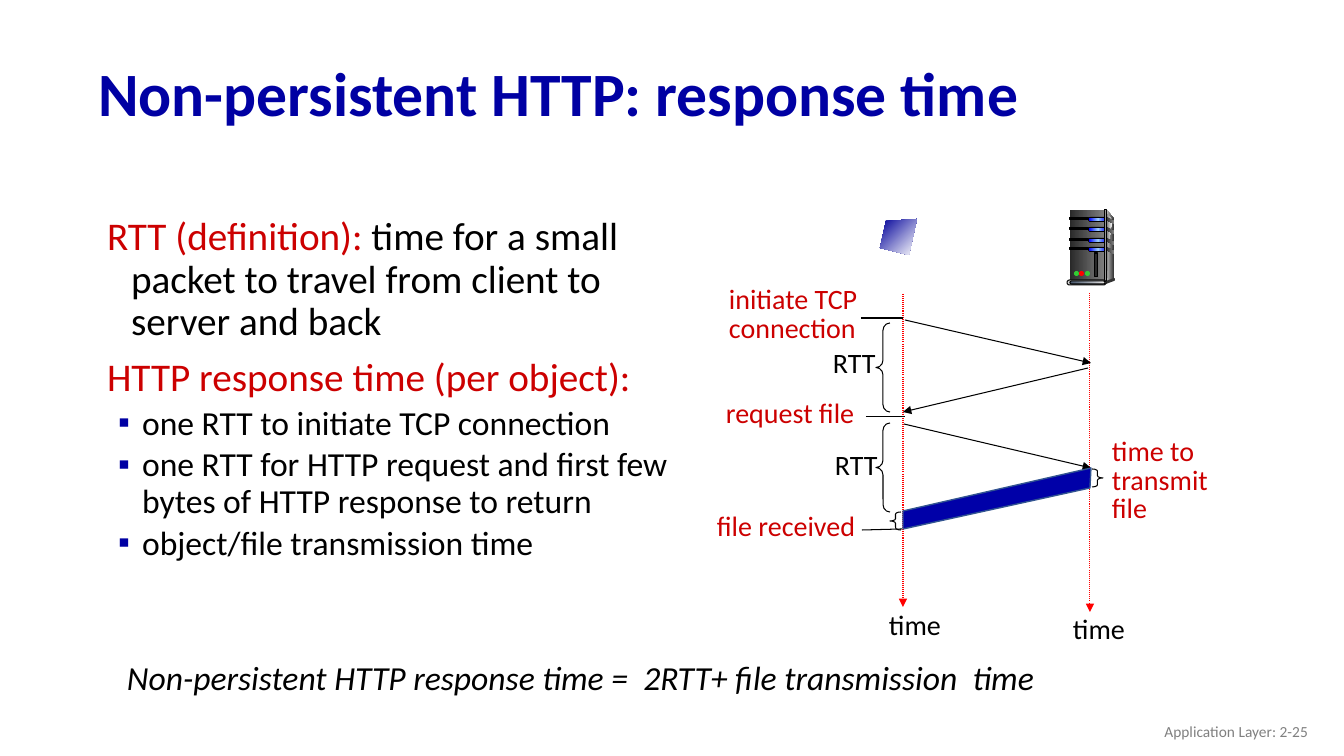
from copy import deepcopy

from lxml.etree import SubElement
from pptx import Presentation
from pptx.dml.color import RGBColor
from pptx.enum.dml import MSO_LINE
from pptx.enum.shapes import MSO_CONNECTOR, MSO_SHAPE
from pptx.enum.text import MSO_ANCHOR, MSO_AUTO_SIZE, PP_ALIGN
from pptx.oxml.ns import qn
from pptx.util import Pt

EMU_PER_PX = 914400 / 100.8
FONT = "Calibri"
COLORS = {
    "navy": "0000A3", "band": "0000A8", "band edge": "325491", "red": "CC0000",
    "lifeline": "FF0000", "black": "000000", "gray": "808080", "light": "DDDDDD",
    "dark": "333333", "charcoal": "292929", "blue": "0000FF", "sky": "99CCFF",
    "green": "33CC33", "slate": "44546A", "silver": "E7E6E6", "pale": "F8F8F8",
    "indigo": "000099", "white": "FFFFFF",
}

TITLE = "Non-persistent HTTP: response time"
# level, then (text, color) runs
BODY = [
    (0, [("RTT (definition):", "red"),
         (" time for a small packet to travel from client to server and back", "black")]),
    (0, [("HTTP response time (per object):", "red")]),
    (1, [("one RTT to initiate TCP connection", "black")]),
    (1, [("one RTT for HTTP request and first few bytes of HTTP response to return", "black")]),
    (1, [("object/file transmission time", "black")]),
]
# text, color, line spacing, box
LABELS = [
    ("time to\ntransmit\nfile", "red", 0.85, (1102, 434, 124, 97)),
    ("initiate TCP\nconnection", "red", 0.85, (719, 282, 154, 69)),
    ("RTT", "black", 0.85, (823, 346, 66, 39)),
    ("request file", "red", 0.85, (716, 396, 217, 39)),
    ("RTT", "black", 0.85, (825, 448, 66, 39)),
    ("file received", "red", 0.85, (707, 509, 181, 39)),
    ("time", "black", 0.85, (879, 608, 74, 39)),
    ("time", "black", 1.0, (1063, 607, 74, 44)),
]
FORMULA = "Non-persistent HTTP response time =  2RTT+ file transmission  time"
FOOTER = "Application Layer: 2-25"

LIFELINES = [(903, 294, 903, 607), (1090, 293, 1090, 612)]
MESSAGES = [(905, 320, 1091, 363), (1088, 368, 903, 412), (904, 424, 1091, 468)]
TICKS = [(861, 318, 903, 318), (866, 417, 905, 417), (902, 529, 862, 530)]
# shape, curvature, box
BRACES = [
    (MSO_SHAPE.RIGHT_BRACE, 0.2, (1092, 469, 11, 18)),
    (MSO_SHAPE.LEFT_BRACE, 0.52, (876, 323, 14, 89)),
    (MSO_SHAPE.LEFT_BRACE, 0.52, (876, 423, 14, 89)),
    (MSO_SHAPE.LEFT_BRACE, 0.2, (890, 512, 11, 18)),
]
TRANSMISSION = [(903, 511), (1091, 468), (1090, 488), (903, 529)]
CLIENT = [(917, 219), (886, 221), (880, 248), (909, 255)]
BAY_TOPS = [218, 228, 239, 248]
LIGHTS = [(1074, "green"), (1079, "lifeline"), (1085, "green")]


def px(value):
    return round(value * EMU_PER_PX)


def rgb(name):
    return RGBColor.from_string(COLORS[name])


def paint(shape, fill=(), line=None, width=0.75, angle=0):
    """Fill with no color, one color or an even gradient of several."""
    shape.shadow.inherit = False
    if not fill:
        shape.fill.background()
    elif len(fill) == 1:
        shape.fill.solid()
        shape.fill.fore_color.rgb = rgb(fill[0])
    else:
        shape.fill.gradient()
        shape.fill.gradient_angle = angle
        stop_list = shape._element.spPr.find(".//" + qn("a:gsLst"))
        while len(stop_list) < len(fill):
            stop_list.append(deepcopy(stop_list[0]))
        for index, (stop, name) in enumerate(zip(shape.fill.gradient_stops, fill)):
            stop.color.rgb = rgb(name)
            stop.position = index / (len(fill) - 1)
    if line:
        shape.line.color.rgb = rgb(line)
        shape.line.width = Pt(width)
    else:
        shape.line.fill.background()


def add_block(shapes, kind, box, fill=(), line=None, adjustment=None):
    shape = shapes.add_shape(kind, *map(px, box))
    if adjustment is not None:
        shape.adjustments[0] = adjustment
    paint(shape, fill, line)


def add_polygon(shapes, points, fill, line=None, width=0.75, angle=0):
    builder = shapes.build_freeform(*points[0], scale=EMU_PER_PX)
    builder.add_line_segments(points[1:], close=True)
    paint(builder.convert_to_shape(), fill, line, width, angle)


def add_line(shapes, ends, color="black", arrow=False, dash=None):
    connector = shapes.add_connector(MSO_CONNECTOR.STRAIGHT, *map(px, ends))
    connector.line.color.rgb = rgb(color)
    connector.line.width = Pt(0.75)
    if dash:
        connector.line.dash_style = dash
    if arrow:
        SubElement(connector.line._get_or_add_ln(), qn("a:tailEnd"), type="triangle")
    SubElement(connector._element.spPr, qn("a:effectLst"))


def style(font, size, color, bold=False, italic=False):
    font.name, font.size, font.bold, font.italic = FONT, Pt(size), bold, italic
    font.color.rgb = rgb(color)


def add_text(shapes, text, box, size, color, spacing=1.0, italic=False,
             align=PP_ALIGN.LEFT, anchor=MSO_ANCHOR.TOP):
    text_frame = shapes.add_textbox(*map(px, box)).text_frame
    text_frame.word_wrap = True
    text_frame.vertical_anchor = anchor
    text_frame.text = text
    for paragraph in text_frame.paragraphs:
        paragraph.alignment = align
        paragraph.line_spacing = spacing
        style(paragraph.runs[0].font, size, color, italic=italic)


def place(shape, box):
    shape.left, shape.top, shape.width, shape.height = map(px, box)
    shape.text_frame.auto_size = MSO_AUTO_SIZE.NONE


def set_bullet(paragraph, level):
    properties = paragraph._p.get_or_add_pPr()
    properties.set("marL", str(px(50 if level else 39)))
    properties.set("indent", str(px(-24)))
    if level:
        color = SubElement(properties, qn("a:buClr"))
        SubElement(color, qn("a:srgbClr"), val=COLORS["navy"])
        SubElement(properties, qn("a:buChar"), char="▪")
    else:
        SubElement(properties, qn("a:buNone"))


def fill_body(shape):
    place(shape, (82, 212, 627, 368))
    text_frame = shape.text_frame
    text_frame.vertical_anchor = MSO_ANCHOR.TOP
    for index, (level, runs) in enumerate(BODY):
        paragraph = text_frame.add_paragraph() if index else text_frame.paragraphs[0]
        set_bullet(paragraph, level)
        paragraph.line_spacing = 0.9
        paragraph.space_before = Pt((4 if level else 10) if index else 0)
        for text, color in runs:
            run = paragraph.add_run()
            run.text = text
            style(run.font, 24 if level else 28, color)


def draw_server(shapes):
    rectangle, rounded, oval = MSO_SHAPE.RECTANGLE, MSO_SHAPE.ROUNDED_RECTANGLE, MSO_SHAPE.OVAL
    add_polygon(shapes, [(1107, 210), (1114, 219), (1114, 278), (1105, 281)], ("light", "dark"))
    add_block(shapes, rectangle, (1070, 210, 35, 72), ("charcoal", "gray"))
    add_polygon(shapes, [(1107, 214), (1112, 220), (1108, 250), (1107, 279)], ("gray", "pale"))
    for top in BAY_TOPS:
        add_block(shapes, rectangle, (1070, top, 19, 2), ("black",), "black")
        add_block(shapes, rounded, (1088, top - 1, 19, 5), ("black",), adjustment=0.5)
        add_block(shapes, rounded, (1089, top, 18, 3), ("blue", "sky", "blue"), adjustment=0.5)
        notch = [(1106, top - 1), (1114, top + 3), (1114, top + 6), (1106, top + 2)]
        add_polygon(shapes, notch, ("charcoal", "gray"))
    add_block(shapes, rectangle, (1105, 210, 2, 72), ("dark", "light", "dark"), "black")
    add_block(shapes, oval, (1113, 278, 2, 3), ("dark",))
    add_polygon(shapes, [(1106, 281), (1106, 284), (1114, 281), (1114, 278)], ("dark",))
    add_block(shapes, rounded, (1067, 280, 39, 5), ("light",), "black", 0.5)
    add_block(shapes, rounded, (1070, 281, 35, 3), ("slate", "silver"), "black", 0.5)
    for left, color in LIGHTS:
        add_block(shapes, oval, (left, 271, 5, 5), (color,))
    add_block(shapes, rectangle, (1095, 253, 3, 24), ("charcoal",), "black")


def main():
    presentation = Presentation()
    presentation.slide_width, presentation.slide_height = px(1344), px(756)
    slide = presentation.slides.add_slide(presentation.slide_layouts[1])
    shapes = slide.shapes

    title = shapes.title
    place(title, (88, 47, 1159, 99))
    title.text_frame.text = TITLE
    title.text_frame.vertical_anchor = MSO_ANCHOR.MIDDLE
    paragraph = title.text_frame.paragraphs[0]
    paragraph.alignment, paragraph.line_spacing = PP_ALIGN.LEFT, 0.9
    style(paragraph.runs[0].font, 44, "navy", bold=True)
    fill_body(slide.placeholders[1])

    for ends in LIFELINES:
        add_line(shapes, ends, "lifeline", arrow=True, dash=MSO_LINE.ROUND_DOT)
    for ends in MESSAGES:
        add_line(shapes, ends, arrow=True)
    for ends in TICKS:
        add_line(shapes, ends)
    for kind, curvature, box in BRACES:
        add_block(shapes, kind, box, line="black", adjustment=curvature)
    for text, color, spacing, box in LABELS:
        add_text(shapes, text, box, 20, color, spacing)

    draw_server(shapes.add_group_shape().shapes)
    add_polygon(shapes, CLIENT, ("indigo", "white"), angle=315)
    add_polygon(shapes, TRANSMISSION, ("band",), "band edge", 1)
    add_text(shapes, FORMULA, (117, 652, 1020, 82), 24, "black", italic=True)
    add_text(shapes, FOOTER, (1016, 711, 302, 40), 11, "gray",
             align=PP_ALIGN.RIGHT, anchor=MSO_ANCHOR.MIDDLE)
    presentation.save("out.pptx")


if __name__ == "__main__":
    main()
